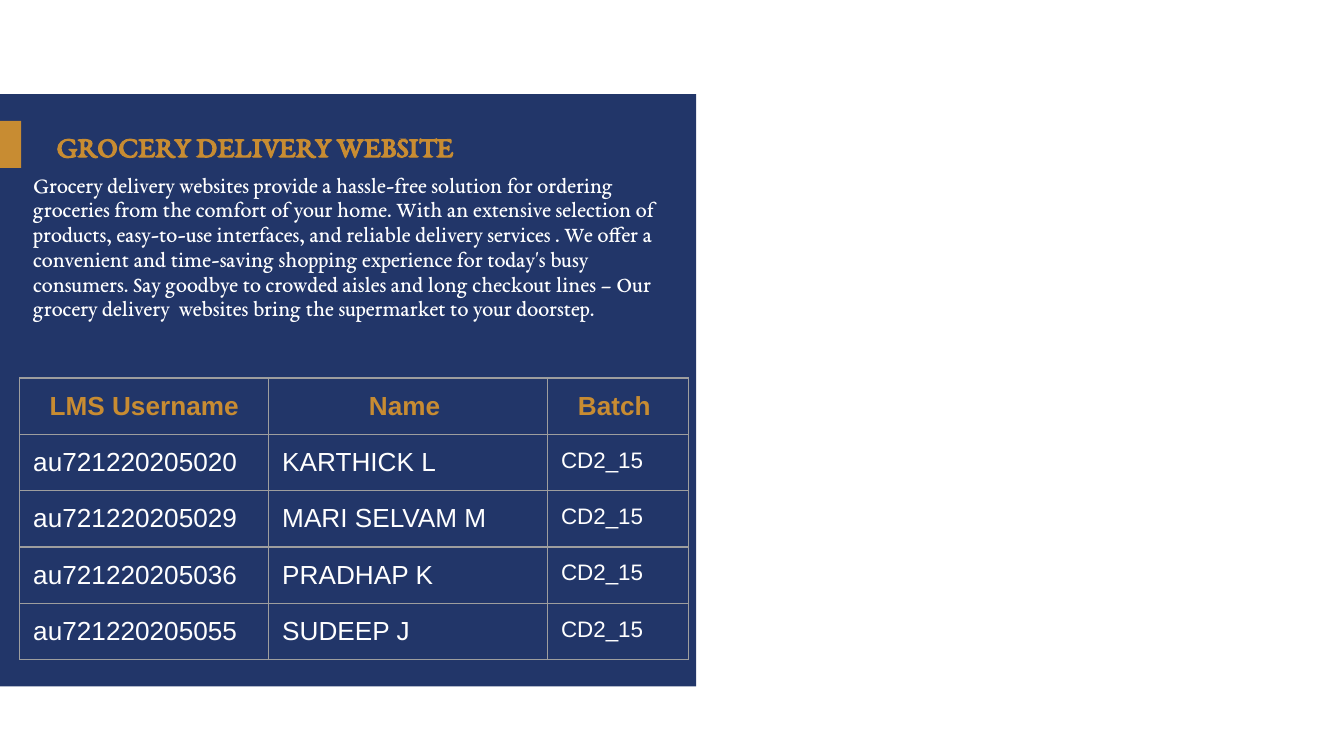
"""Build the grocery delivery website team slide."""
from lxml.etree import SubElement
from pptx import Presentation
from pptx.dml.color import RGBColor
from pptx.enum.shapes import MSO_SHAPE as Preset
from pptx.enum.text import MSO_ANCHOR as Anchor, MSO_AUTO_SIZE as AutoSize, PP_ALIGN as Align
from pptx.oxml.ns import qn
from pptx.util import Pt

TITLE = "GROCERY DELIVERY WEBSITE"
SUMMARY = (
    "Grocery delivery websites provide a hassle-free solution for ordering groceries "
    "from the comfort of your home. With an extensive selection of products, easy-to-use "
    "interfaces, and reliable delivery services . We offer a convenient and time-saving "
    "shopping experience for today's busy consumers. Say goodbye to crowded aisles and long "
    "checkout lines – Our grocery delivery  websites bring the supermarket to your doorstep."
)
HEADERS = ("LMS Username", "Name ", "Batch ")
BATCH = "CD2_15"
MEMBERS = [
    ("au721220205020", "KARTHICK L"),
    ("au721220205029", "MARI SELVAM M"),
    ("au721220205036", "PRADHAP K"),
    ("au721220205055", "SUDEEP J"),
]
COLORS = {"navy": "223669", "gold": "C88C32", "white": "FFFFFF", "grid": "9E9E9E"}
BLOCKS = [("navy", (0, 50.4, 373, 317.4)), ("gold", (0, 64.8, 11.4, 25.2))]
TITLE_BOX = (23, 64.1, 269.3, 27.4)
BODY_BOX = (10.6, 89.3, 357.8, 239)
TABLE_LEFT, TABLE_TOP = 10.6, 202.5
COLUMN_WIDTHS = (133.4, 149.4, 75.4)
ROW_HEIGHT, CELL_MARGIN, GRID_WIDTH = 30, 7.2, 0.75
SERIF, SANS = "EB Garamond", "Arial"
TITLE_FONT = {"name": SERIF, "size": Pt(16), "bold": True}
BODY_FONT = {"name": SERIF, "size": Pt(12), "bold": False}
HEADER_FONT = {"name": SANS, "size": Pt(14), "bold": True}
MEMBER_FONT = {**HEADER_FONT, "bold": False}
BATCH_FONT = {**MEMBER_FONT, "size": Pt(12)}


def rgb(name):
    return RGBColor.from_string(COLORS[name])


def apply(target, values):
    for name, value in values.items():
        setattr(target, name, value)


def write(frame, text, font, color, align=Align.LEFT):
    frame.text = text
    paragraph = frame.paragraphs[0]
    apply(paragraph, {"alignment": align, "space_before": Pt(0)})
    run = paragraph.runs[0]
    apply(run.font, font)
    run.font.color.rgb = rgb(color)
    return paragraph


def place(shape, box):
    apply(shape, dict(zip(("left", "top", "width", "height"), map(Pt, box))))


def add_blocks(slide):
    for color, box in BLOCKS:
        shape = slide.shapes.add_shape(Preset.RECTANGLE, *map(Pt, box))
        shape.shadow.inherit = False
        shape.fill.solid()
        shape.fill.fore_color.rgb = rgb(color)
        shape.line.fill.background()
        slide.shapes.title.element.addprevious(shape.element)


def fill_placeholders(slide):
    title, body = slide.shapes.title, slide.placeholders[1]
    for shape, box, anchor in ((title, TITLE_BOX, Anchor.MIDDLE), (body, BODY_BOX, Anchor.TOP)):
        place(shape, box)
        apply(shape.text_frame, {
            "word_wrap": True, "auto_size": AutoSize.NONE, "vertical_anchor": anchor,
            "margin_left": Pt(7.2), "margin_right": Pt(7.2),
            "margin_top": Pt(3.6), "margin_bottom": Pt(3.6),
        })
    write(title.text_frame, TITLE, TITLE_FONT, "gold")
    paragraph = write(body.text_frame, SUMMARY, BODY_FONT, "white")
    paragraph.line_spacing = 0.92
    properties = paragraph._p.get_or_add_pPr()
    properties.set("marL", "0")
    properties.set("indent", "0")
    SubElement(properties, qn("a:buNone"))


def format_cell(cell):
    apply(cell, {f"margin_{side}": Pt(CELL_MARGIN) for side in ("left", "right", "top", "bottom")})
    cell.vertical_anchor = Anchor.TOP
    properties = cell._tc.get_or_add_tcPr()
    for edge in ("lnL", "lnR", "lnT", "lnB"):
        line = SubElement(properties, qn(f"a:{edge}"), w=str(Pt(GRID_WIDTH)))
        SubElement(SubElement(line, qn("a:solidFill")), qn("a:srgbClr"), val=COLORS["grid"])
    cell.fill.background()


def add_member_table(slide):
    rows = [HEADERS] + [(*member, BATCH) for member in MEMBERS]
    table = slide.shapes.add_table(
        len(rows), len(HEADERS), Pt(TABLE_LEFT), Pt(TABLE_TOP),
        Pt(sum(COLUMN_WIDTHS)), Pt(ROW_HEIGHT * len(rows)),
    ).table
    apply(table, {"first_row": False, "horz_banding": False})
    for column, width in zip(table.columns, COLUMN_WIDTHS):
        column.width = Pt(width)
    for row_index, row in enumerate(rows):
        table.rows[row_index].height = Pt(ROW_HEIGHT)
        for column_index, text in enumerate(row):
            cell = table.cell(row_index, column_index)
            format_cell(cell)
            if row_index == 0:
                write(cell.text_frame, text, HEADER_FONT, "gold", Align.CENTER)
            else:
                font = BATCH_FONT if column_index == len(row) - 1 else MEMBER_FONT
                write(cell.text_frame, text, font, "white")


def main():
    presentation = Presentation()
    apply(presentation, {"slide_width": Pt(720), "slide_height": Pt(405)})
    slide = presentation.slides.add_slide(presentation.slide_layouts[1])
    add_blocks(slide)
    fill_placeholders(slide)
    add_member_table(slide)
    presentation.save("out.pptx")


if __name__ == "__main__":
    main()
